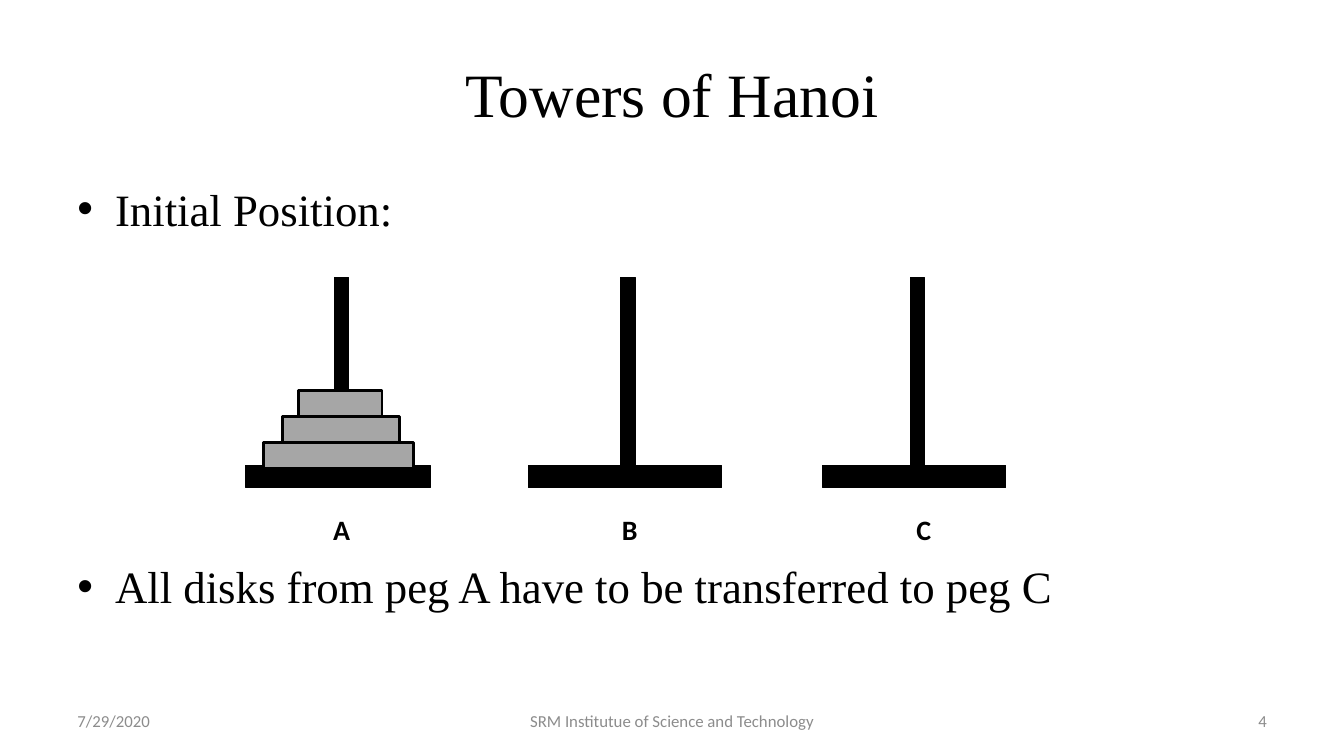
from lxml import etree
from pptx import Presentation
from pptx.dml.color import RGBColor
from pptx.enum.shapes import MSO_SHAPE
from pptx.enum.text import MSO_ANCHOR, PP_ALIGN
from pptx.oxml.ns import qn
from pptx.util import Cm, Pt

RECTANGLE = MSO_SHAPE.RECTANGLE
TOP, MIDDLE = MSO_ANCHOR.TOP, MSO_ANCHOR.MIDDLE
LEFT, CENTER, RIGHT = PP_ALIGN.LEFT, PP_ALIGN.CENTER, PP_ALIGN.RIGHT
BLACK = RGBColor(0x00, 0x00, 0x00)
DISK_GREY = RGBColor(0xA6, 0xA6, 0xA6)
FOOTER_GREY = RGBColor(0x8C, 0x8C, 0x8C)
SERIF, SANS = "Times New Roman", "Calibri"

TITLE = "Towers of Hanoi"
# text, space before in points (the pegs stand between the two)
BULLETS = [
    ("Initial Position:", 0),
    ("All disks from peg A have to be transferred to peg C", 231),
]
# text, left, width, alignment
FOOTER = [
    ("7/29/2020", 1.7, 7.9, LEFT),
    ("SRM Institutue of Science and Technology", 11.58, 10.72, CENTER),
    ("4", 24.28, 7.9, RIGHT),
]
# label, label centre, post centre, base left, base width
PEGS = [
    ("A", 8.61, 8.61, 6.2, 4.65),
    ("B", 15.87, 15.83, 13.31, 4.88),
    ("C", 23.28, 23.12, 20.73, 4.62),
]
# left, width, from the bottom disk up
DISKS = [(6.65, 3.78), (7.11, 2.97), (7.52, 2.11)]

MARGIN, CONTENT_WIDTH = 1.7, 30.48
POST_TOP, POST_WIDTH = 6.99, 0.36
BASE_TOP, BASE_HEIGHT = 11.73, 0.56
DISK_TOP, DISK_STEP = 11.15, 0.65
LABEL_TOP, LABEL_WIDTH, LABEL_HEIGHT = 12.8, 1.5, 1.12
BULLET_INDENT = Cm(0.95)

TITLE_FONT = {"name": SERIF, "size": Pt(44)}
BODY_FONT = {"name": SERIF, "size": Pt(32)}
LABEL_FONT = {"name": SANS, "size": Pt(20), "bold": True}
FOOTER_FONT = {"name": SANS, "size": Pt(12)}


def format_font(font, values, color):
    for attribute, value in values.items():
        setattr(font, attribute, value)
    font.color.rgb = color


def add_frame(slide, box, anchor):
    frame = slide.shapes.add_textbox(*map(Cm, box)).text_frame
    frame.word_wrap = True
    frame.vertical_anchor = anchor
    return frame


def add_text(slide, text, box, values, color=BLACK, align=CENTER, anchor=MIDDLE):
    paragraph = add_frame(slide, box, anchor).paragraphs[0]
    paragraph.text = text
    paragraph.alignment = align
    format_font(paragraph.runs[0].font, values, color)


def add_bar(slide, box, fill, line_width):
    bar = slide.shapes.add_shape(RECTANGLE, *map(Cm, box))
    bar.shadow.inherit = False
    bar.fill.solid()
    bar.fill.fore_color.rgb = fill
    bar.line.color.rgb = BLACK
    bar.line.width = Pt(line_width)


def add_bullets(slide):
    frame = add_frame(slide, (MARGIN, 4.45, CONTENT_WIDTH, 12.57), TOP)
    for index, (text, space_before) in enumerate(BULLETS):
        paragraph = frame.add_paragraph() if index else frame.paragraphs[0]
        paragraph.text = text
        if space_before:
            paragraph.space_before = Pt(space_before)
        properties = paragraph._p.get_or_add_pPr()
        properties.set("marL", str(BULLET_INDENT))
        properties.set("indent", str(-BULLET_INDENT))
        etree.SubElement(properties, qn("a:buFont"), typeface="Arial")
        etree.SubElement(properties, qn("a:buChar"), char="•")
        format_font(paragraph.runs[0].font, BODY_FONT, BLACK)


def add_pegs(slide):
    for label, label_center, post_center, base_left, base_width in PEGS:
        add_bar(slide, (base_left, BASE_TOP, base_width, BASE_HEIGHT), BLACK, 0.75)
        post_left = post_center - POST_WIDTH / 2
        add_bar(slide, (post_left, POST_TOP, POST_WIDTH, BASE_TOP - POST_TOP), BLACK, 0.75)
        label_left = label_center - LABEL_WIDTH / 2
        add_text(slide, label, (label_left, LABEL_TOP, LABEL_WIDTH, LABEL_HEIGHT),
                 LABEL_FONT, anchor=TOP)
    for level, (left, width) in enumerate(DISKS):
        top = DISK_TOP - level * DISK_STEP
        add_bar(slide, (left, top, width, DISK_STEP), DISK_GREY, 2)


def main():
    presentation = Presentation()
    presentation.slide_width, presentation.slide_height = Cm(33.87), Cm(19.05)
    slide = presentation.slides.add_slide(presentation.slide_layouts[6])
    add_text(slide, TITLE, (MARGIN, 0.76, CONTENT_WIDTH, 3.18), TITLE_FONT)
    add_bullets(slide)
    for text, left, width, align in FOOTER:
        add_text(slide, text, (left, 17.65, width, 1.02), FOOTER_FONT, FOOTER_GREY, align)
    add_pegs(slide)
    presentation.save("out.pptx")


if __name__ == "__main__":
    main()
